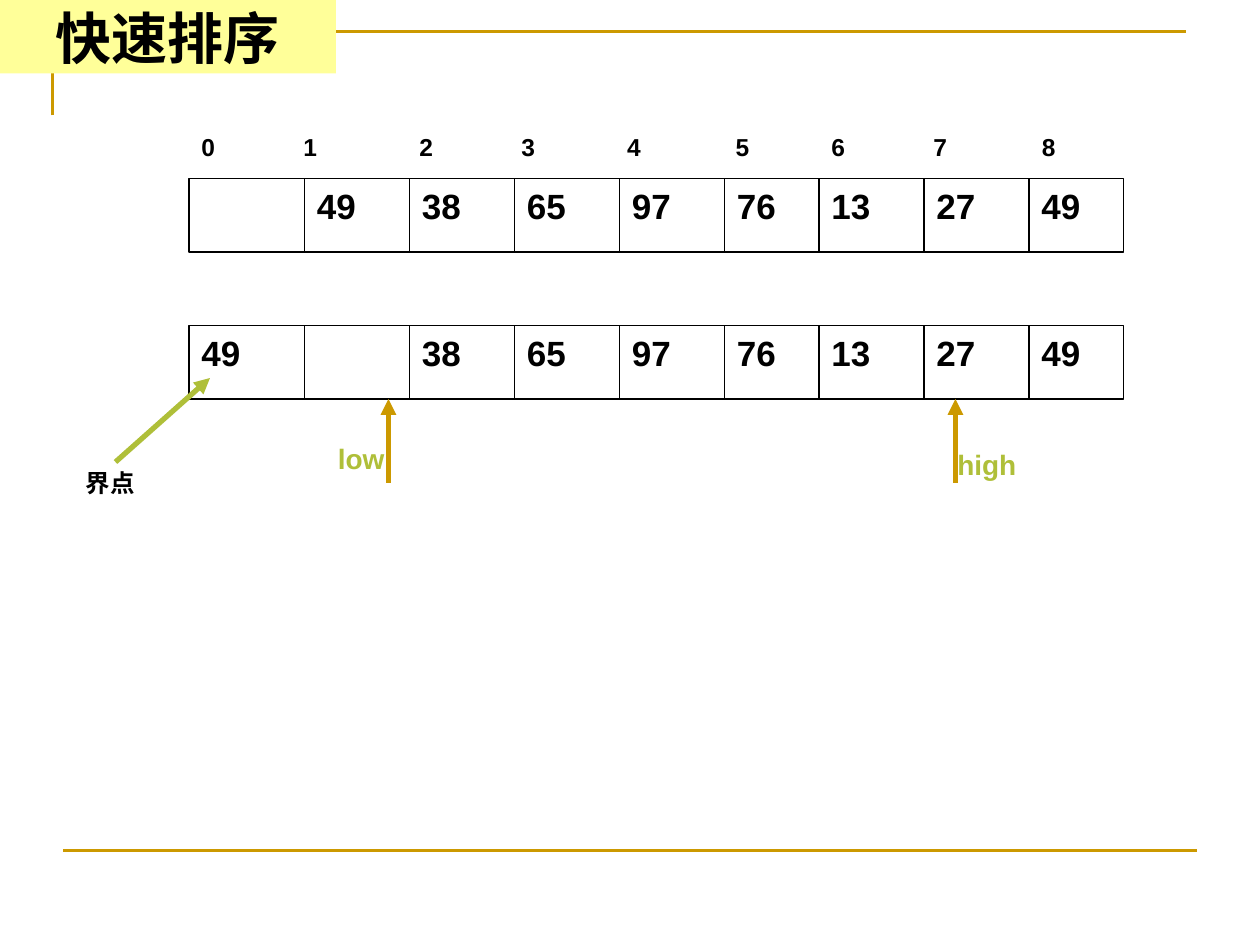
from itertools import accumulate

from lxml import etree
from pptx import Presentation
from pptx.dml.color import RGBColor
from pptx.enum.shapes import MSO_CONNECTOR, MSO_SHAPE
from pptx.enum.text import MSO_ANCHOR, MSO_AUTO_SIZE, PP_ALIGN
from pptx.oxml.ns import qn
from pptx.util import Inches, Pt

BLACK = RGBColor(0x00, 0x00, 0x00)
WHITE = RGBColor(0xFF, 0xFF, 0xFF)
GOLD = RGBColor(0xCC, 0x99, 0x00)
OLIVE = RGBColor(0xAF, 0xBF, 0x39)
YELLOW = RGBColor(0xFF, 0xFF, 0x99)

TITLE = "快速排序"

# Positions are in grid units of 1/12 inch.
COLUMN_WIDTHS = [11, 10, 10, 10, 10, 9, 10, 10, 9]
EDGES = list(accumulate(COLUMN_WIDTHS, initial=18))
ROW_HEIGHT = 7
ARRAYS = [
    (17, ["", "49", "38", "65", "97", "76", "13", "27", "49"]),
    (31, ["49", "", "38", "65", "97", "76", "13", "27", "49"]),
]
# Tab stops of indexes 1 to 8, in inches from the text's left edge
INDEX_TABS = [0.81, 1.73, 2.54, 3.38, 4.24, 5.0, 5.81, 6.67]

# text, left, top, width, height, size, colour
LABELS = [
    ("high", 90, 42, 11, 4.4, 16, OLIVE),
    ("low", 31, 41.5, 11, 4.4, 16, OLIVE),
    ("界点", 7, 44, 10, 4, 14, BLACK),
]
# start, end, colour
ARROWS = [
    ((91, 46), (91, 38), GOLD),
    ((37, 46), (37, 38), GOLD),
    ((11, 44), (20, 36), OLIVE),
]


def grid(units):
    return Inches(units / 12)


def format_font(font, size, color, name="Arial"):
    for key, value in {"name": name, "size": Pt(size), "bold": True}.items():
        setattr(font, key, value)
    font.color.rgb = color


def add_line(shapes, start, end, color, width, arrow=False):
    line = shapes.add_connector(
        MSO_CONNECTOR.STRAIGHT, *map(grid, start), *map(grid, end))
    line.line.color.rgb = color
    line.line.width = Pt(width)
    if arrow:
        etree.SubElement(line.line._get_or_add_ln(), qn("a:tailEnd"), type="triangle")
    etree.SubElement(line._element.spPr, qn("a:effectLst"))


def add_text(shapes, text, left, top, width, height, size, color, tabs=()):
    box = shapes.add_textbox(*map(grid, (left, top, width, height)))
    box.text_frame.word_wrap = True
    para = box.text_frame.paragraphs[0]
    para.text = text
    if tabs:
        tab_list = etree.SubElement(para._p.get_or_add_pPr(), qn("a:tabLst"))
        for tab in tabs:
            etree.SubElement(tab_list, qn("a:tab"), pos=str(Inches(tab)), algn="l")
    format_font(para.runs[0].font, size, color)


def add_array(shapes, top):
    """Draw the empty cells of one array as a group."""
    cells = shapes.add_group_shape().shapes
    frame = cells.add_shape(
        MSO_SHAPE.RECTANGLE, grid(EDGES[0]), grid(top),
        grid(EDGES[-1] - EDGES[0]), grid(ROW_HEIGHT))
    frame.shadow.inherit = False
    frame.fill.solid()
    frame.fill.fore_color.rgb = WHITE
    frame.line.color.rgb = BLACK
    frame.line.width = Pt(0.75)
    for edge in EDGES[1:-1]:
        add_line(cells, (edge, top), (edge, top + ROW_HEIGHT), BLACK, 0.75)


def add_corner_rule(shapes):
    builder = shapes.build_freeform(grid(5), grid(11))
    builder.add_line_segments([(grid(5), grid(3)), (grid(113), grid(3))], close=False)
    rule = builder.convert_to_shape()
    rule.shadow.inherit = False
    rule.fill.background()
    rule.line.color.rgb = GOLD
    rule.line.width = Pt(1.5)


def place_title(shapes):
    """Format the title and bring it in front of the corner rule."""
    title = shapes.title
    title.left, title.top, title.width, title.height = map(grid, (0, 0, 32, 7))
    title.fill.solid()
    title.fill.fore_color.rgb = YELLOW
    frame = title.text_frame
    frame.text = TITLE
    frame.auto_size = MSO_AUTO_SIZE.NONE
    frame.vertical_anchor = MSO_ANCHOR.MIDDLE
    para = frame.paragraphs[0]
    para.alignment = PP_ALIGN.CENTER
    format_font(para.runs[0].font, 32, BLACK, "Times New Roman")
    shapes._spTree.append(title._element)


def main():
    deck = Presentation()
    deck.slide_width, deck.slide_height = Inches(10), Inches(7.5)
    page = deck.slides.add_slide(deck.slide_layouts[5])
    shapes = page.shapes

    add_corner_rule(shapes)
    add_line(shapes, (6, 81), (114, 81), GOLD, 1.5)

    indexes = "\t".join(str(index) for index in range(len(COLUMN_WIDTHS)))
    add_text(shapes, indexes, EDGES[0], 12, EDGES[-1] - EDGES[0], 4, 14, BLACK, INDEX_TABS)
    for top, values in ARRAYS:
        add_array(shapes, top)
        for left, value in zip(EDGES, values):
            if value:
                add_text(shapes, value, left, top, 8, 5.25, 20, BLACK)

    for start, end, color in ARROWS:
        add_line(shapes, start, end, color, 3, arrow=True)
    for label in LABELS:
        add_text(shapes, *label)
    place_title(shapes)
    deck.save("out.pptx")


if __name__ == "__main__":
    main()
